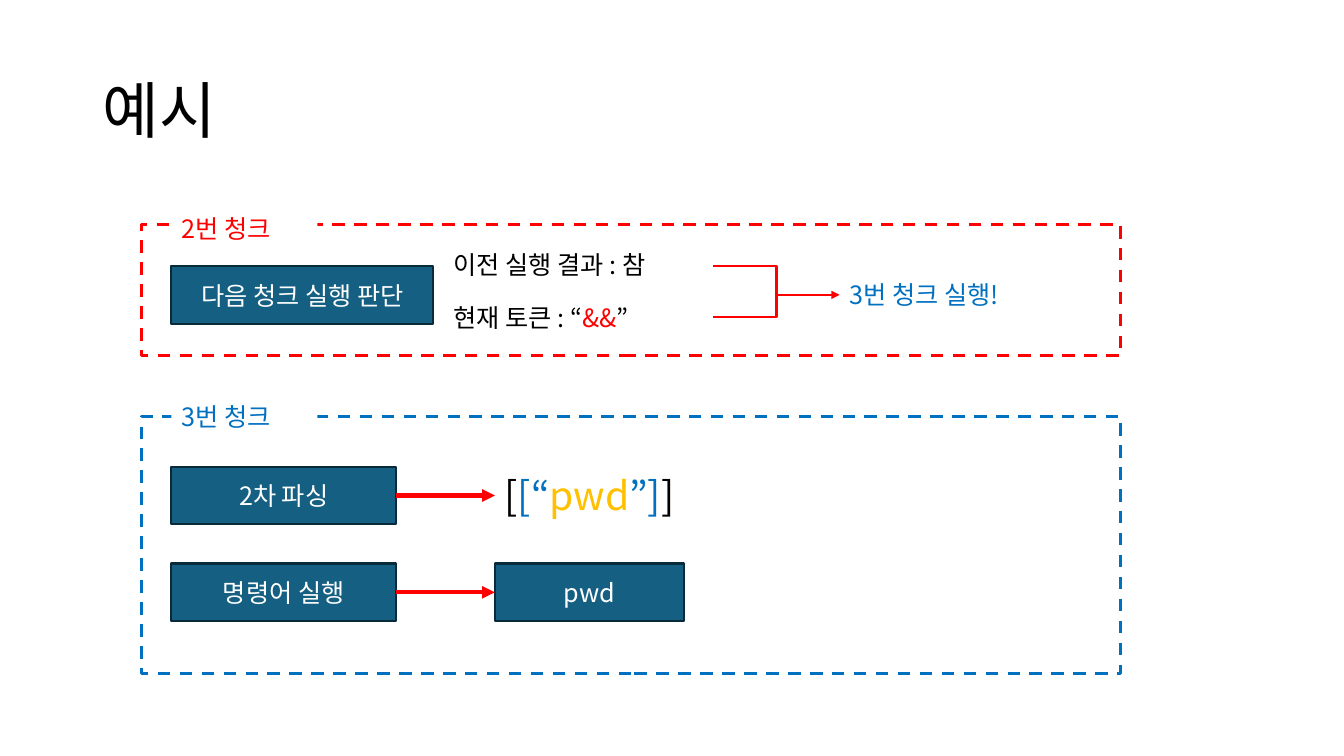
from lxml.etree import SubElement
from pptx import Presentation
from pptx.dml.color import RGBColor
from pptx.enum.dml import MSO_LINE
from pptx.enum.shapes import MSO_CONNECTOR, MSO_SHAPE
from pptx.enum.text import MSO_ANCHOR, MSO_AUTO_SIZE, PP_ALIGN
from pptx.oxml.ns import qn
from pptx.util import Cm, Pt

FONT = "Noto Sans CJK KR"
BLACK, WHITE, RED, BLUE = "000000", "FFFFFF", "FF0000", "0070C0"
YELLOW, TEAL, NAVY = "FFC000", "156082", "092A39"

# Content, lengths in centimetres
TITLE = "예시"
FRAME_LEFT, FRAME_WIDTH = 3.56, 24.69
INNER_LEFT, BOX_HEIGHT, TEXT_HEIGHT = 4.32, 1.45, 1.02
STEP_WIDTH, RESULT_LEFT = 5.66, 12.47

CHUNKS = [  # label, colour, frame top, frame height, label top
    ("3번 청크", BLUE, 10.49, 6.48, 9.98),
    ("2번 청크", RED, 5.66, 3.3, 5.26),
]
BOXES = [  # text, left, top, width
    ("다음 청크 실행 판단", INNER_LEFT, 6.71, 6.6),
    ("2차 파싱", INNER_LEFT, 11.76, STEP_WIDTH),
    ("명령어 실행", INNER_LEFT, 14.2, STEP_WIDTH),
    ("pwd", RESULT_LEFT, 14.2, 4.78),
]
TEXTS = [  # coloured pieces, left, top, width, height, size
    ([("이전 실행 결과 : 참", BLACK)], 11.18, 6.17, 6.81, TEXT_HEIGHT, 18),
    ([("현재 토큰 : “", BLACK), ("&&", RED), ("”", BLACK)],
     11.18, 7.49, 6.81, TEXT_HEIGHT, 18),
    ([("3번 청크 실행!", BLUE)], 21.16, 6.91, 5.36, TEXT_HEIGHT, 18),
    ([("[", BLACK), ("[“", BLUE), ("pwd", YELLOW), ("”]", BLUE), ("]", BLACK)],
     RESULT_LEFT, 11.76, 14.27, BOX_HEIGHT, 28),
]
STEP_TOPS = [11.76, 14.2]
JOIN_LEFT, JOIN_RIGHT, JOIN_Y = 17.98, 21.16, 7.43


def colour(code):
    return RGBColor.from_string(code)


def write(shape, pieces, size):
    """Fill the first paragraph with coloured pieces of text."""
    para = shape.text_frame.paragraphs[0]
    for text, code in pieces:
        span = para.add_run()
        span.text = text
        span.font.size = Pt(size)
        span.font.name = FONT
        span.font.color.rgb = colour(code)
        SubElement(span.font._element, qn("a:ea"), typeface=FONT)
    return para


def add_box(left, top, width, height, fill=None, line=None, weight=1.5):
    box = page.shapes.add_shape(
        MSO_SHAPE.RECTANGLE, Cm(left), Cm(top), Cm(width), Cm(height))
    box.shadow.inherit = False
    if fill:
        box.fill.solid()
        box.fill.fore_color.rgb = colour(fill)
    else:
        box.fill.background()
    if line:
        box.line.color.rgb = colour(line)
        box.line.width = Pt(weight)
    else:
        box.line.fill.background()
    return box


def add_link(kind, start, end, weight, arrow=True):
    link = page.shapes.add_connector(kind, *map(Cm, start + end))
    link.line.color.rgb = colour(RED)
    link.line.width = Pt(weight)
    if arrow:
        SubElement(link.line._get_or_add_ln(), qn("a:tailEnd"), type="triangle")
    SubElement(link._element.spPr, qn("a:effectLst"))
    return link


deck = Presentation()
deck.slide_width, deck.slide_height = Cm(33.87), Cm(19.05)
page = deck.slides.add_slide(deck.slide_layouts[5])

# Title
title = page.shapes.title
title.left, title.top, title.width, title.height = map(Cm, (2.33, 1.01, 29.21, 3.68))
title.text_frame.vertical_anchor = MSO_ANCHOR.MIDDLE
para = write(title, [(TITLE, BLACK)], 44)
para.alignment = PP_ALIGN.LEFT
para.line_spacing = 0.9

# Dashed chunk frames with a label over the top edge
for name, code, top, height, label_top in CHUNKS:
    frame = add_box(FRAME_LEFT, top, FRAME_WIDTH, height, line=code, weight=2.25)
    frame.line.dash_style = MSO_LINE.DASH
    label = add_box(INNER_LEFT, label_top, 3.68, TEXT_HEIGHT, fill=WHITE)
    label.text_frame.vertical_anchor = MSO_ANCHOR.TOP
    write(label, [(name, code)], 18).alignment = PP_ALIGN.LEFT

# Filled step boxes
for text, left, top, width in BOXES:
    box = add_box(left, top, width, BOX_HEIGHT, fill=TEAL, line=NAVY)
    box.text_frame.vertical_anchor = MSO_ANCHOR.MIDDLE
    write(box, [(text, WHITE)], 18).alignment = PP_ALIGN.CENTER

# Free text
for pieces, left, top, width, height, size in TEXTS:
    box = page.shapes.add_textbox(Cm(left), Cm(top), Cm(width), Cm(height))
    box.text_frame.word_wrap = True
    box.text_frame.auto_size = MSO_AUTO_SIZE.SHAPE_TO_FIT_TEXT
    write(box, pieces, size)

# Straight arrows from each step to its result
for top in STEP_TOPS:
    middle = top + BOX_HEIGHT / 2
    add_link(MSO_CONNECTOR.STRAIGHT, (INNER_LEFT + STEP_WIDTH, middle),
             (RESULT_LEFT, middle), 3)

# Two conditions joining into one arrow; the lower branch stops short of the tip
add_link(MSO_CONNECTOR.ELBOW, (JOIN_LEFT, 6.71), (JOIN_RIGHT, JOIN_Y), 1.5)
branch = add_link(MSO_CONNECTOR.ELBOW, (JOIN_LEFT, 8), (JOIN_RIGHT - 0.18, JOIN_Y),
                  1.5, arrow=False)
bends = branch._element.spPr.find(qn("a:prstGeom")).find(qn("a:avLst"))
SubElement(bends, qn("a:gd"), name="adj1", fmla="val 53000")

deck.save("out.pptx")
